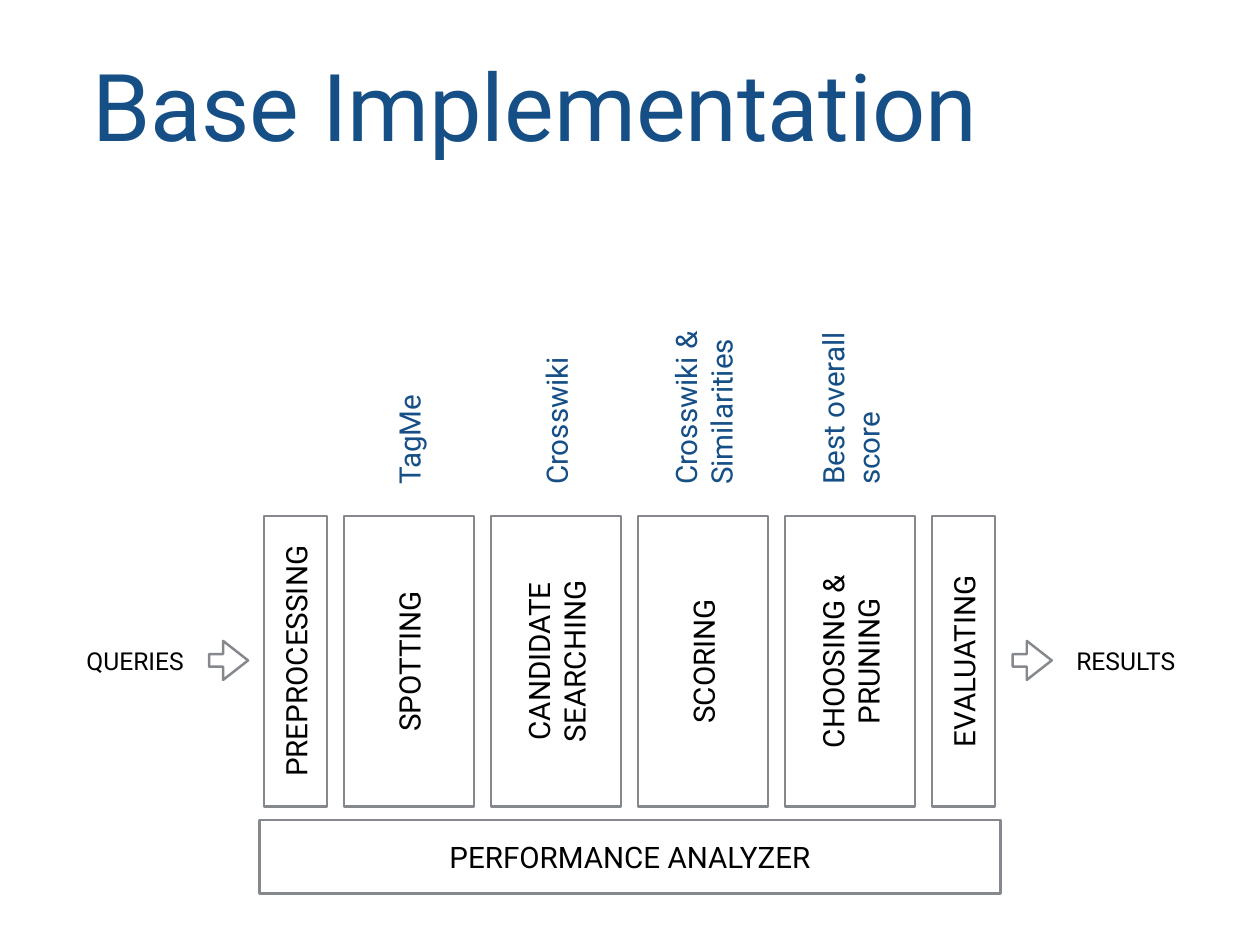
from pptx import Presentation
from pptx import util as u
from pptx.dml.color import RGBColor
from pptx.enum import shapes, text

PX = 9144
COLORS = {"title": "164F86", "label": "000000", "outline": "85888D"}
STAGES = [
    ("PREPROCESSING", 71, None, 0),
    ("SPOTTING", 147, "TagMe", 172),
    ("CANDIDATE SEARCHING", 147, "Crosswiki", 172),
    ("SCORING", 147, "Crosswiki & Similarities", 205),
    ("CHOOSING & PRUNING", 147, "Best overall score", 205),
    ("EVALUATING", 71, None, 0),
]


def emu(*lengths):
    """Turn px lengths into EMU."""
    return [u.Emu(round(length * PX)) for length in lengths]


def turned(left, top, width, height):
    """Return the unrotated box that fills the given box after a quarter turn."""
    shift = (width - height) / 2
    return left + shift, top - shift, height, width


def write(shape, wording, size=24, color="label", align="CENTER", inset=0, wrap=True):
    """Put one formatted paragraph into a shape."""
    frame = shape.text_frame
    frame.text = wording
    frame.word_wrap = wrap
    frame.auto_size = text.MSO_AUTO_SIZE.NONE
    frame.vertical_anchor = text.MSO_ANCHOR.MIDDLE
    for side in ("left", "top", "right", "bottom"):
        setattr(frame, f"margin_{side}", emu(inset)[0])
    paragraph = frame.paragraphs[0]
    paragraph.alignment = text.PP_ALIGN[align]
    font = paragraph.runs[0].font
    font.name = "Roboto"
    font.size = u.Pt(size)
    font.color.rgb = RGBColor.from_string(COLORS[color])


def add_label(slide, box, wording, **formats):
    """Add a text box in the given box."""
    label = slide.shapes.add_textbox(*emu(*box))
    write(label, wording, **formats)
    return label


def add_outline(slide, kind, box):
    """Add an unfilled shape with a grey outline."""
    shape = slide.shapes.add_shape(kind, *emu(*box))
    shape.shadow.inherit = False
    shape.fill.background()
    shape.line.color.rgb = RGBColor.from_string(COLORS["outline"])
    shape.line.width = u.Pt(2)
    return shape


def add_block(slide, box, wording):
    """Add an outlined rectangle with a centred label."""
    block = add_outline(slide, shapes.MSO_SHAPE.RECTANGLE, box)
    write(block, wording, inset=6)
    return block


def add_arrow(slide, left, top):
    """Add an outlined right arrow."""
    arrow = add_outline(slide, shapes.MSO_SHAPE.RIGHT_ARROW, (left, top, 44, 44))
    arrow.adjustments[0] = 0.32
    arrow.adjustments[1] = 0.64


def add_title(slide, box, wording):
    """Fill and place the title placeholder."""
    title = slide.shapes.title
    title.left, title.top, title.width, title.height = emu(*box)
    write(title, wording, size=76, color="title", align="LEFT")


def add_stages(slide, left, top, height, gap=19):
    """Add the row of upright stages with their methods above."""
    for stage, width, method, length in STAGES:
        block = add_block(slide, turned(left, top, width, height), stage)
        block.rotation = 270
        if method:
            above = turned(left, top - 35 - length, width, length)
            note = add_label(slide, above, method, color="title", align="LEFT")
            note.rotation = 270
        left += width + gap


def add_pipeline(slide, left, top, width):
    """Add the stages, the analyzer below and the flow in and out."""
    add_stages(slide, left + 5, top, 328)
    add_block(slide, (left, top + 343, width, 83), "PERFORMANCE ANALYZER")
    middle = top + 163
    for wording, label_left, arrow_left in (
        ("QUERIES", left - 198, left - 57),
        ("RESULTS", left + width + 84, left + width + 14),
    ):
        add_label(slide, (label_left, middle - 16, 115, 33), wording, size=20, wrap=False)
        add_arrow(slide, arrow_left, middle - 22)


def main():
    """Build and save the slide."""
    deck = Presentation()
    deck.slide_width, deck.slide_height = emu(1422, 1066)
    slide = deck.slides.add_slide(deck.slide_layouts[5])
    add_title(slide, (104, 49, 1214, 137), "Base Implementation")
    add_pipeline(slide, 293, 582, 836)
    deck.save("out.pptx")


if __name__ == "__main__":
    main()
